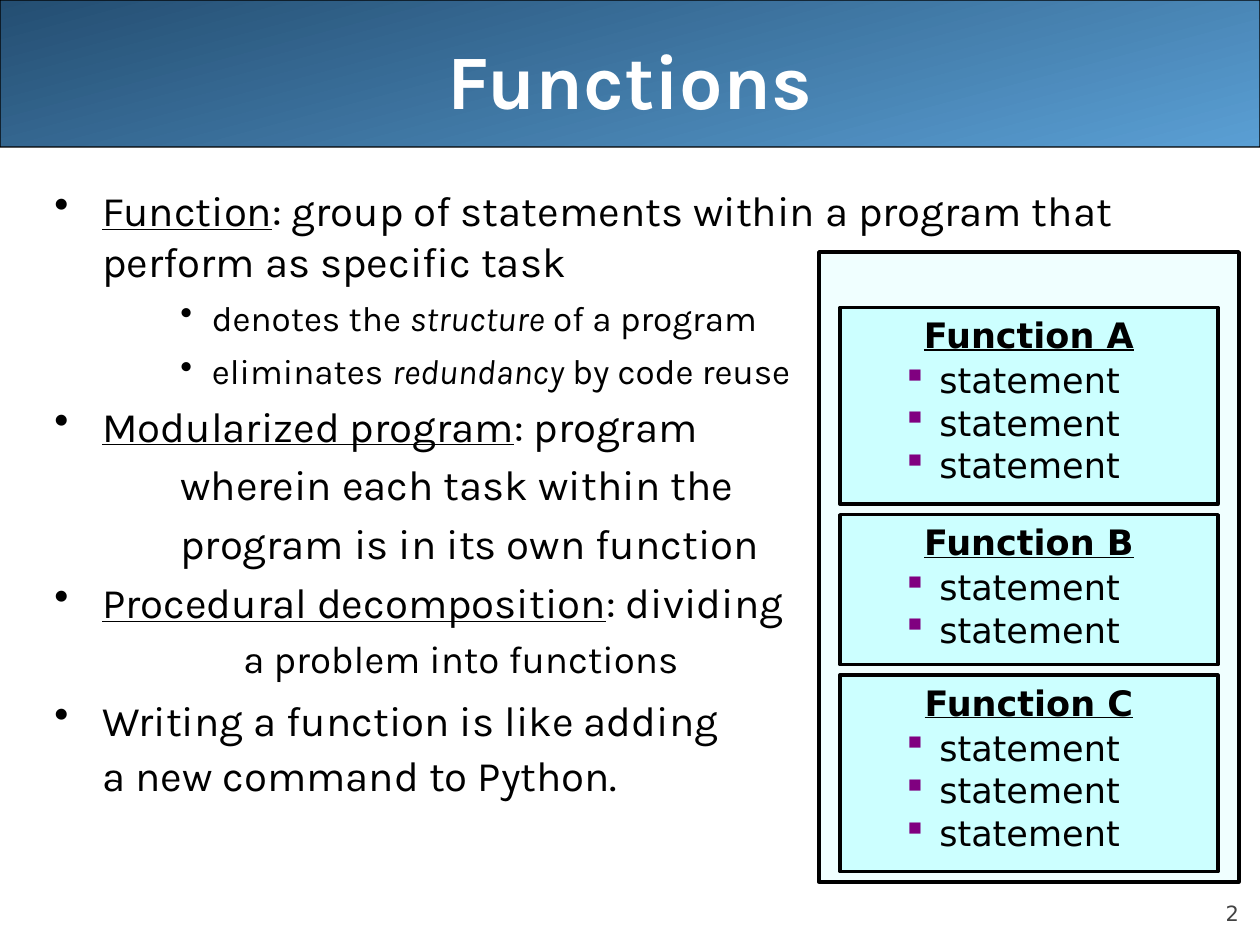
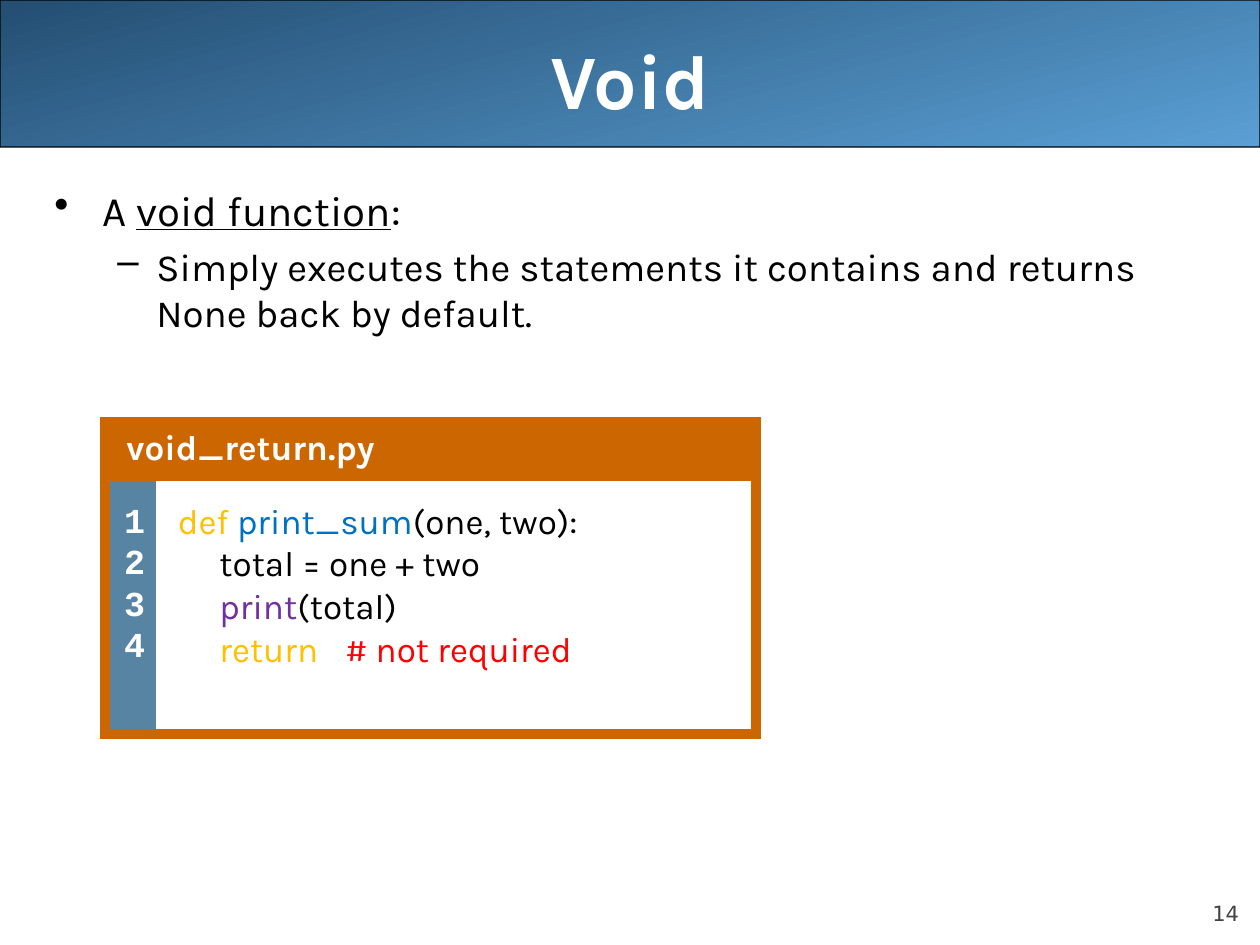
from dataclasses import dataclass

from lxml import etree
from pptx import Presentation
from pptx import util as u
from pptx.dml.color import RGBColor
from pptx.enum import shapes as sh
from pptx.enum import text as tx
from pptx.oxml import ns

COLS, ROWS = 120, 90
UNIT = u.Inches(10) // COLS
ALIGN = {"l": tx.PP_ALIGN.LEFT, "c": tx.PP_ALIGN.CENTER, "r": tx.PP_ALIGN.RIGHT}


@dataclass(frozen=True)
class Theme:
    font: str = "Karla"
    plain: str = "DejaVu Sans"
    mono: str = "Courier New"
    dark: str = "244E72"
    light: str = "5A9FD4"
    ink: str = "000000"
    white: str = "FFFFFF"
    grey: str = "424242"
    pale: str = "F0FFFF"
    aqua: str = "CCFFFF"
    mark: str = "800080"
    frame: str = "CC6600"
    gutter: str = "5784A3"
    key: str = "FFC000"
    name: str = "0070C0"
    call: str = "7030A0"
    note: str = "FF0000"
    title: int = 44
    body: int = 24
    sub: int = 22
    small: int = 20
    foot: int = 12


T = Theme()
UNDER = {"under": True}
SLANT = {"slant": True}
TOP = {"size": T.body, "left": 0.38, "hang": 0.38, "bullet": "•"}
DEEP = {"size": T.small, "left": 1.25, "hang": 0.25, "bullet": "•", "line": 1.1}
CODE = {"size": T.small, "left": 0.12, "line": 0.87}


def rgb(code):
    return RGBColor.from_string(code)


def grid(*cells):
    """Turn grid columns and rows into lengths."""
    return [u.Emu(round(n * UNIT)) for n in cells]


def node(parent, tag, **attrs):
    item = etree.SubElement(parent, ns.qn(tag))
    for key, val in attrs.items():
        item.set(key, str(val))
    return item


def put(frame, runs, size=T.body, font=T.font, color=T.ink, bold=False,
        align="l", left=0, hang=0, line=None, gap=0.2, bullet=None,
        tint=None, scale=None, tab=None):
    """Add a paragraph; gap is the space above as a share of the type size."""
    para = frame.paragraphs[0]
    if para.runs:
        para = frame.add_paragraph()
    props = para._p.get_or_add_pPr()
    props.set("marL", str(u.Inches(left)))
    props.set("indent", str(-u.Inches(hang)))
    if tint:
        node(node(props, "a:buClr"), "a:srgbClr", val=tint)
    if scale:
        node(props, "a:buSzPct", val=scale * 1000)
    if bullet:
        node(props, "a:buChar", char=bullet)
    else:
        node(props, "a:buNone")
    if tab:
        node(node(props, "a:tabLst"), "a:tab", pos=u.Inches(tab), algn="l")
    para.alignment = ALIGN[align]
    para.space_before = u.Pt(round(size * gap, 1))
    if line:
        para.line_spacing = line
    for part in [runs] if isinstance(runs, str) else runs:
        if part == "\n":
            para.add_line_break()
            continue
        words, look = (part, {}) if isinstance(part, str) else part
        run = para.add_run()
        run.text = words
        face = run.font
        face.name, face.size, face.bold = font, u.Pt(size), bold
        face.underline = look.get("under", False)
        face.italic = look.get("slant", False)
        face.color.rgb = rgb(look.get("color", color))


def inset(frame, *sides):
    (frame.margin_left, frame.margin_top,
     frame.margin_right, frame.margin_bottom) = map(u.Inches, sides)


def label(slide, area, anchor=tx.MSO_ANCHOR.TOP):
    frame = slide.shapes.add_textbox(*grid(*area)).text_frame
    frame.word_wrap = True
    frame.vertical_anchor = anchor
    return frame


def block(home, area, fill=None, width=2.0, kind=sh.MSO_SHAPE.RECTANGLE):
    shape = home.shapes.add_shape(kind, *grid(*area))
    shape.shadow.inherit = False
    if fill:
        shape.fill.solid()
        shape.fill.fore_color.rgb = rgb(fill)
    shape.line.color.rgb = rgb(T.ink)
    shape.line.width = u.Pt(width)
    return shape


def page(deck, title, number):
    """Add a slide with the shared band, title and page number."""
    slide = deck.slides.add_slide(deck.slide_layouts[6])
    band = block(slide, (0, 0, COLS, 14), width=0.75,
                 kind=sh.MSO_SHAPE.ROUNDED_RECTANGLE)
    band.adjustments[0] = 0.001
    band.fill.gradient()
    band.fill.gradient_angle = 285
    for stop, color in zip(band.fill.gradient_stops, (T.dark, T.light)):
        stop.color.rgb = rgb(color)
    foot = label(slide, (108, 83.4, 10, 4.8), tx.MSO_ANCHOR.BOTTOM)
    inset(foot, 0, 0, 0, 0)
    put(foot, str(number), size=T.foot, font=T.plain, color=T.grey, align="r")
    head = label(slide, (6, 0, 108, 15), tx.MSO_ANCHOR.MIDDLE)
    put(head, title, size=T.title, color=T.white, bold=True, align="c", gap=0)
    return slide


def program(slide, parts):
    """Stack one box per function inside an outer frame."""
    group = slide.shapes.add_group_shape()

    class_home = Home(group.shapes)
    block(class_home, (78, 24, 40, 60), T.pale)
    top = 29.3
    for name, count in parts:
        tall = 5.4 + 4.44 * count
        box = block(class_home, (80, top, 36, tall), T.aqua)
        frame = box.text_frame
        frame.word_wrap = True
        frame.vertical_anchor = tx.MSO_ANCHOR.TOP
        put(frame, [(name, UNDER)], size=T.small, font=T.plain, bold=True,
            align="c", gap=0.5)
        for _ in range(count):
            put(frame, "statement", size=T.small, font=T.plain, left=0.69,
                hang=0.25, line=0.6, gap=0.5, bullet="■", tint=T.mark, scale=55)
        top += tall + 1


@dataclass
class Home:
    """Anything that holds shapes."""
    shapes: object


def edge(cell, sides):
    """Draw the named sides of a cell and clear the others."""
    props = cell._tc.get_or_add_tcPr()
    for side in "LRTB":
        if side in sides:
            line = node(props, f"a:ln{side}", w=u.Pt(6))
            node(node(line, "a:solidFill"), "a:srgbClr", val=T.frame)
        else:
            node(node(props, f"a:ln{side}", w=0), "a:noFill")


def dress(cell, fill, sides, *pads):
    edge(cell, sides)
    cell.fill.solid()
    cell.fill.fore_color.rgb = rgb(fill)
    cell.vertical_anchor = tx.MSO_ANCHOR.TOP
    inset(cell, *pads)
    return cell.text_frame


def listing(slide, name, lines):
    """Show code as a table with a file name and a number gutter."""
    wide, tall = (4.9, 57.1), (5, 24.5)
    table = slide.shapes.add_table(
        2, 2, *grid(10, 40.2, sum(wide), sum(tall))).table
    table.first_row = table.horz_banding = False
    for col, size in zip(table.columns, grid(*wide)):
        col.width = size
    for row, size in zip(table.rows, grid(*tall)):
        row.height = size
    table.cell(0, 0).merge(table.cell(0, 1))
    edge(table.cell(0, 1), "RTB")
    head = dress(table.cell(0, 0), T.frame, "LRTB", 0.05, 0.05, 0.05, 0.05)
    put(head, name, size=T.small, color=T.white, bold=True, left=0.12)
    gutter = dress(table.cell(1, 0), T.gutter, "LTB", 0.05, 0.23, 0.09, 0.23)
    code = dress(table.cell(1, 1), T.white, "RTB", 0.05, 0.23, 0.18, 0.23)
    for count, (runs, look) in enumerate(lines, 1):
        put(gutter, str(count), font=T.mono, color=T.white, bold=True,
            align="r", **CODE)
        put(code, runs, **{**CODE, **look})


def functions(deck):
    slide = page(deck, "Functions", 2)
    body = label(slide, (4, 17, 114, 65))
    put(body, [("Function", UNDER), ": group of statements within a program "
               "that perform as specific task"], **TOP)
    put(body, ["denotes the ", ("structure", SLANT), " of a program"], **DEEP)
    put(body, ["eliminates ", ("redundancy", SLANT), " by code reuse"], **DEEP)
    put(body, [("Modularized program", UNDER), ": program"], **TOP)
    for words in ("wherein each task within the",
                  "program is in its own function"):
        put(body, words, left=1)
    put(body, [("Procedural decomposition", UNDER), ": dividing"], **TOP)
    put(body, "a problem into functions", size=T.sub, left=1.5)
    put(body, ["Writing a function is like adding ", "\n",
               "a new command to Python."], line=1.1, **TOP)
    program(slide, [("Function A", 3), ("Function B", 2), ("Function C", 3)])


def void(deck):
    slide = page(deck, "Void", 14)
    body = label(slide, (4, 17, 114, 18))
    put(body, ["A ", ("void function", UNDER), ":"], **TOP)
    put(body, "Simply executes the statements it contains and returns "
        "None back by default.", size=T.sub, left=0.81, hang=0.31, bullet="–")
    key, name, call, note = (
        {"color": c} for c in (T.key, T.name, T.call, T.note))
    inner = {"left": 0.45}
    listing(slide, "void_return.py", [
        ([("def ", key), ("print_sum", name), "(one, two):"], {}),
        (["total = one + two"], inner),
        ([("print", call), "(total)"], inner),
        ([("return\t", key), ("# not required", note)], {**inner, "tab": 1.7}),
    ])


def main():
    deck = Presentation()
    deck.slide_width, deck.slide_height = grid(COLS, ROWS)
    functions(deck)
    void(deck)
    deck.save("out.pptx")


if __name__ == "__main__":
    main()
